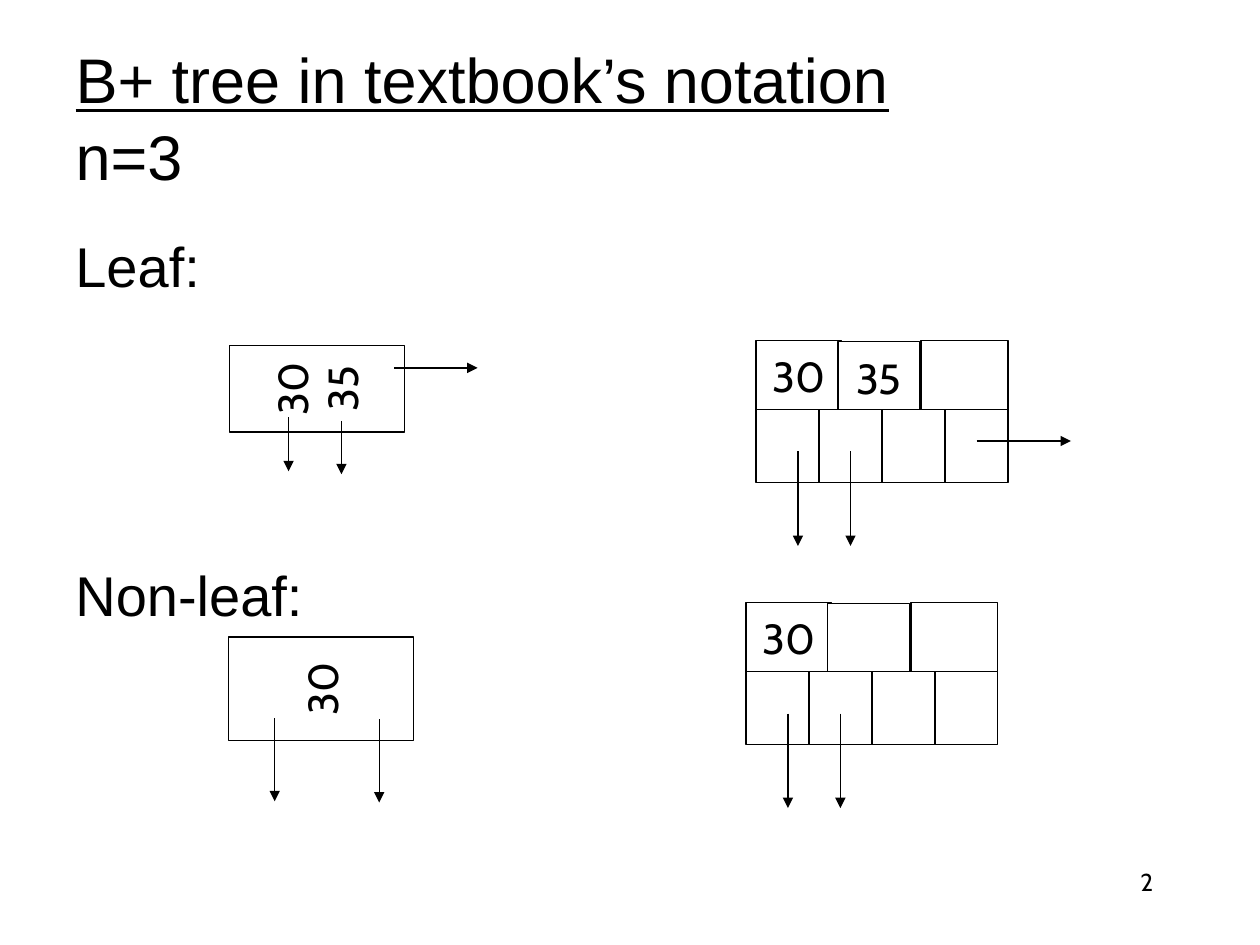
from lxml.etree import SubElement
from pptx import Presentation
from pptx.dml.color import RGBColor
from pptx.enum.shapes import MSO_CONNECTOR, MSO_SHAPE
from pptx.enum.text import MSO_ANCHOR, PP_ALIGN
from pptx.oxml.ns import qn
from pptx.util import Pt

BLACK = RGBColor(0, 0, 0)
WHITE = RGBColor(255, 255, 255)
SANS = "Arial"
CABIN = "Cabin"


class TreeSlide:
    line_width = Pt(0.75)
    key_size = 24

    def __init__(self, prs):
        self.s = prs.slides.add_slide(prs.slide_layouts[5])

    def style(self, p, size, name, align=PP_ALIGN.LEFT):
        p.alignment = align
        p.font.size = Pt(size)
        p.font.name = name
        p.font.color.rgb = BLACK

    def place(self, sp, x, y, w, h):
        sp.left, sp.top, sp.width, sp.height = map(Pt, (x, y, w, h))

    def title(self, underlined, plain, x, y, w, h):
        sp = self.s.shapes.title
        self.place(sp, x, y, w, h)
        tf = sp.text_frame
        tf.word_wrap = True
        tf.vertical_anchor = MSO_ANCHOR.MIDDLE
        p = tf.paragraphs[0]
        self.style(p, 36, SANS)
        p.line_spacing = Pt(43.5)
        r = p.add_run()
        r.text = underlined
        r.font.underline = True
        p.add_line_break()
        p.add_run().text = plain

    def text(self, lines, x, y, w, h, size, name, align=PP_ALIGN.LEFT, gap=0):
        tf = self.s.shapes.add_textbox(Pt(x), Pt(y), Pt(w), Pt(h)).text_frame
        tf.word_wrap = True
        for i, line in enumerate(lines):
            p = tf.add_paragraph() if i else tf.paragraphs[0]
            p.text = line
            self.style(p, size, name, align)
            if i:
                p.space_before = Pt(gap)

    def box(self, x, y, w, h, lines=(), rotation=0, shapes=None):
        shapes = shapes or self.s.shapes
        sp = shapes.add_shape(MSO_SHAPE.RECTANGLE, Pt(x), Pt(y), Pt(w), Pt(h))
        sp.rotation = rotation
        sp.shadow.inherit = False
        sp.fill.solid()
        sp.fill.fore_color.rgb = WHITE
        sp.line.color.rgb = BLACK
        sp.line.width = self.line_width
        tf = sp.text_frame
        tf.word_wrap = False
        tf.vertical_anchor = MSO_ANCHOR.MIDDLE
        for i, line in enumerate(lines):
            p = tf.add_paragraph() if i else tf.paragraphs[0]
            p.text = line
            self.style(p, self.key_size, CABIN, PP_ALIGN.CENTER)

    def arrow(self, x, y, dx, dy):
        c = self.s.shapes.add_connector(
            MSO_CONNECTOR.STRAIGHT, Pt(x), Pt(y), Pt(x + dx), Pt(y + dy))
        c.line.color.rgb = BLACK
        c.line.width = self.line_width
        spPr = c._element.spPr
        SubElement(spPr.find(qn("a:ln")), qn("a:tailEnd"), type="triangle")
        SubElement(spPr, qn("a:effectLst"))

    def node(self, x, y, keys):
        cells = ((0, 0, 49), (46.8, 0.75, 46.8), (94.3, 0, 49.7))
        for (dx, dy, w), key in zip(cells, keys):
            self.box(x + dx, y + dy, w, 41, [key] if key else [])
        group = self.s.shapes.add_group_shape()
        for i in range(4):
            self.box(x + 36 * i, y + 39.6, 36, 41.8, shapes=group.shapes)
        for dx in (24, 54):
            self.arrow(x + dx, y + 63.6, 0, 54)


def main():
    prs = Presentation()
    prs.slide_width, prs.slide_height = Pt(720), Pt(540)
    slide = TreeSlide(prs)

    slide.title("B+ tree in textbook’s notation", "n=3", 36, 21.6, 648, 90)
    slide.text(["Leaf:", "Non-leaf:"], 36, 129, 648, 354, 32, SANS, gap=149.5)
    slide.text(["2"], 516.24, 491.76, 149.76, 36, 14, CABIN, PP_ALIGN.RIGHT)

    slide.box(156.24, 172.08, 49.7, 100, ["30", "35"], rotation=270)
    slide.arrow(225.4, 210.24, 47.5, 0)
    slide.arrow(164.9, 238.5, 0, 30.8)
    slide.arrow(195.1, 240.5, 0, 30.5)

    slide.box(154.08, 340.56, 59, 105.84, ["30"], rotation=270)
    slide.arrow(157, 410.4, 0, 47.5)
    slide.arrow(216.7, 411.1, 0, 47.5)

    slide.node(432, 194.4, ("30", "35", None))
    slide.arrow(558, 252, 54, 0)
    slide.node(426.24, 344.16, ("30", None, None))

    prs.save("out.pptx")


if __name__ == "__main__":
    main()
